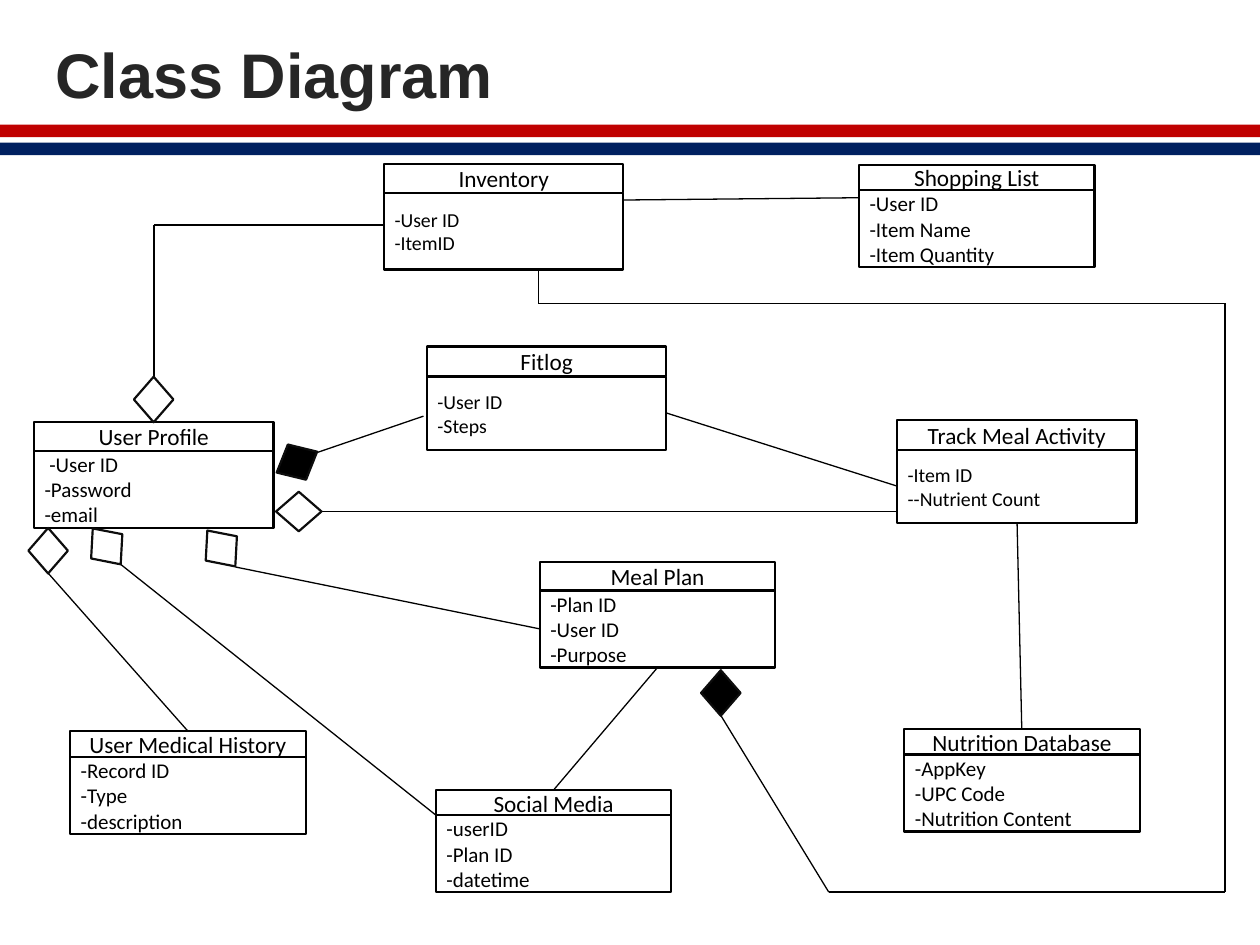
from lxml.etree import SubElement
from pptx import Presentation
from pptx.dml.color import RGBColor
from pptx.enum.shapes import MSO_CONNECTOR, MSO_SHAPE
from pptx.enum.text import MSO_ANCHOR, PP_ALIGN
from pptx.oxml.ns import qn
from pptx.util import Pt

COLORS = {
    "title": "262626",
    "red": "C00000",
    "navy": "002060",
    "white": "FFFFFF",
    "black": "000000",
    "diamond_line": "0D0D0D",
}
FRAME_FORMAT = {
    "word_wrap": True,
    "vertical_anchor": MSO_ANCHOR.MIDDLE,
    "margin_left": Pt(6),
    "margin_right": Pt(6),
    "margin_top": Pt(3),
    "margin_bottom": Pt(3),
}

presentation = Presentation()
presentation.slide_width = Pt(720)
presentation.slide_height = Pt(540)
slide = presentation.slides.add_slide(presentation.slide_layouts[6])


def add_filled(kind, bounds, fill, line=None):
    shape = slide.shapes.add_shape(kind, *map(Pt, bounds))
    shape.shadow.inherit = False
    shape.fill.solid()
    shape.fill.fore_color.rgb = RGBColor.from_string(COLORS[fill])
    if line:
        shape.line.color.rgb = RGBColor.from_string(COLORS[line])
        shape.line.width = Pt(1.25)
    else:
        shape.line.fill.background()
    return shape


def write_lines(frame, lines, alignment, font_format, color):
    frame.text = "\n".join(lines)
    for paragraph in frame.paragraphs:
        paragraph.alignment = alignment
        font = paragraph.runs[0].font
        font.color.rgb = RGBColor.from_string(COLORS[color])
        for name, value in font_format.items():
            setattr(font, name, value)


title = slide.shapes.add_textbox(Pt(24.5), Pt(16.5), Pt(298), Pt(51))
title.text_frame.word_wrap = True
title_font = {"name": "Arial", "size": Pt(36), "bold": True}
write_lines(title.text_frame, ["Class Diagram"], PP_ALIGN.LEFT, title_font, "title")

for top, color in [(71.2, "red"), (81.5, "navy")]:
    add_filled(MSO_SHAPE.RECTANGLE, (0, top, 720, 7.2), color)

classes = [
    ("User Profile", 19.5, 241.2, 136.8, 16.4, 44, 12, [" -User ID", "-Password", "-email"]),
    ("Fitlog", 244, 198, 136.8, 17.2, 41.8, 11.3, ["-User ID", "-Steps"]),
    ("Track Meal Activity", 512.7, 240, 136.8, 17.2, 41.8, 11.3, ["-Item ID", "--Nutrient Count"]),
    ("Inventory", 219.5, 93.7, 136.8, 16.4, 44, 11.3, ["-User ID", "-ItemID"]),
    ("User Medical History", 40.1, 417.8, 134.6, 14.8, 44, 12, ["-Record ID", "-Type", "-description"]),
    ("Nutrition Database", 516.8, 416.8, 134.6, 14.4, 44, 12, ["-AppKey", "-UPC Code", "-Nutrition Content"]),
    ("Social Media", 249.1, 451.5, 134.6, 14.4, 44, 12, ["-userID", "-Plan ID", "-datetime"]),
    ("Meal Plan", 308.5, 321.3, 134.6, 16.2, 44, 12, ["-Plan ID", "-User ID", "-Purpose"]),
    ("Shopping List", 490.9, 94.3, 134.6, 14.4, 44, 12, ["-User ID", "-Item Name", "-Item Quantity"]),
]
for name, left, top, width, header_height, body_height, body_size, members in classes:
    compartments = [
        (top, header_height, [name], PP_ALIGN.CENTER, 13.3),
        (top + header_height, body_height, members, PP_ALIGN.LEFT, body_size),
    ]
    for part_top, height, lines, alignment, size in compartments:
        box = add_filled(MSO_SHAPE.RECTANGLE, (left, part_top, width, height), "white", "black")
        for attribute, value in FRAME_FORMAT.items():
            setattr(box.text_frame, attribute, value)
        body_font = {"name": "Calibri", "size": Pt(size)}
        write_lines(box.text_frame, lines, alignment, body_font, "black")

routes = [
    [(219.5, 128.5), (88, 128.5), (88, 215.3)],
    [(242, 237.8), (178, 259.7)],
    [(356.3, 114.3), (490.9, 113)],
    [(380.8, 236), (512.7, 277.8)],
    [(512.7, 292.3), (178, 292.3)],
    [(581.2, 298.9), (583.9, 416.8)],
    [(134.6, 324), (308.5, 359.4)],
    [(69.1, 322.6), (249.1, 465.8)],
    [(27.6, 327.6), (107.4, 417.8)],
    [(375.6, 381.6), (316.3, 451.5)],
    [(307.6, 154.1), (307.6, 173.4), (700, 173.4), (700, 509.8), (473.6, 509.8), (412, 409)],
]
for route in routes:
    for start, end in zip(route, route[1:]):
        connector = slide.shapes.add_connector(MSO_CONNECTOR.STRAIGHT, *map(Pt, start + end))
        connector.line.color.rgb = RGBColor.from_string(COLORS["black"])
        connector.line.width = Pt(0.75)
        SubElement(connector._element.spPr, qn("a:effectLst"))

diamonds = [
    (76.5, 215.3, 0, "white"),
    (158.4, 251.1, 62.7, "black"),
    (115.2, 300.4, 322.1, "white"),
    (159.4, 279.3, 90, "white"),
    (49.7, 299.2, 322.1, "white"),
    (16.2, 301.7, 0, "white"),
    (400.6, 383, 0, "black"),
]
for left, top, rotation, fill in diamonds:
    diamond = add_filled(MSO_SHAPE.DIAMOND, (left, top, 22.6, 26), fill, "diamond_line")
    diamond.rotation = rotation

presentation.save("out.pptx")
